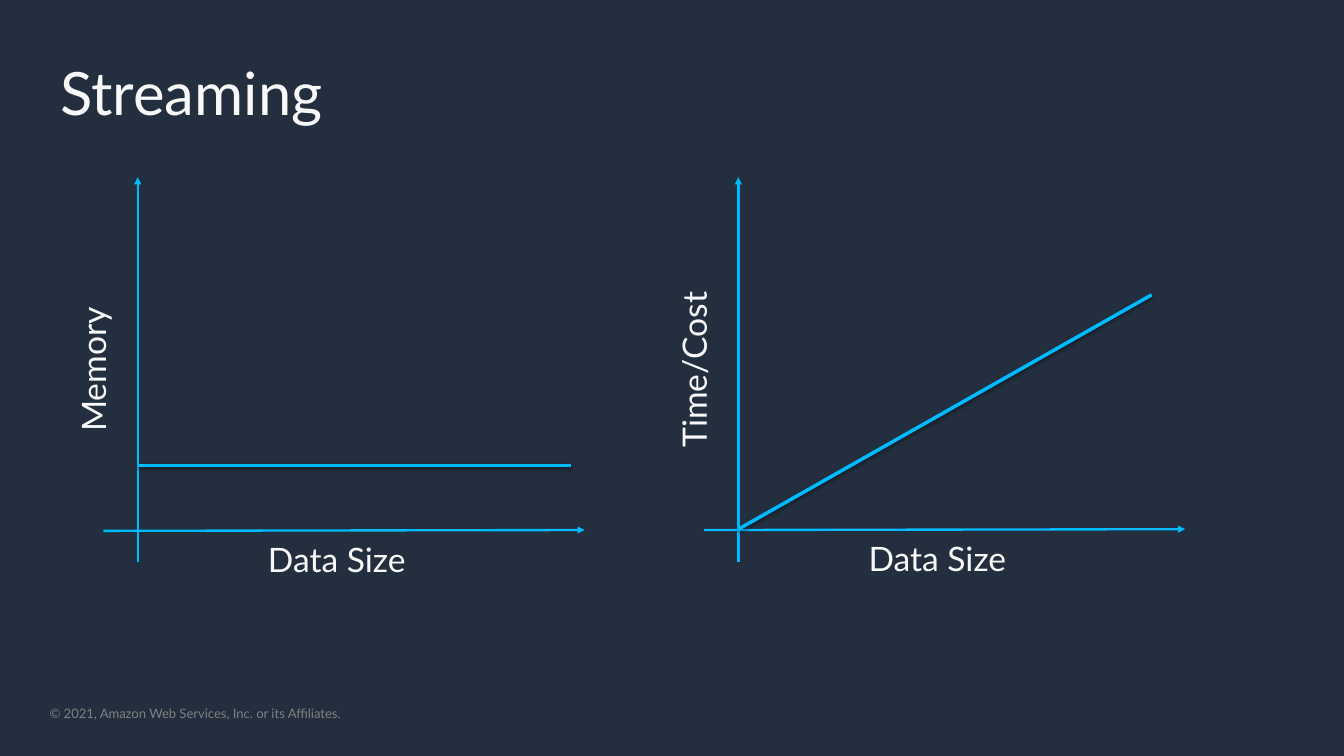
from lxml import etree
from pptx import Presentation
from pptx.dml.color import RGBColor
from pptx.enum.shapes import MSO_CONNECTOR
from pptx.enum.text import MSO_ANCHOR, PP_ALIGN
from pptx.oxml.ns import qn
from pptx.util import Inches, Pt

FONT = "Lato"
BACKGROUND, WHITE, GREY, BLUE = "232F3E", "F8F8F8", "808080", "00BAFF"
TITLE = "Streaming"
COPYRIGHT = "© 2021, Amazon Web Services, Inc. or its Affiliates."

# Curves run from the vertical axis: (start height, end height, length), in inches
GRAPHS = [
    {"y_label": "Memory", "y_label_length": 1.71, "origin": (1.64, 6.31),
     "curve": (0.77, 0.77, 5.16)},
    {"y_label": "Time/Cost", "y_label_length": 2.11, "origin": (8.79, 6.3),
     "curve": (0, 2.79, 4.92)},
]
X_LABEL, X_LABEL_LENGTH = "Data Size", 1.9
LABEL_HEIGHT = 0.59
OVERHANG = 0.41
X_AXIS_REACH = 5.32
Y_AXIS_TOP, Y_AXIS_BOTTOM = 2.11, 6.69


def rgb(color):
    return RGBColor.from_string(color)


def write(shape, words, size, color, align, inset=(0.1, 0.05)):
    frame = shape.text_frame
    frame.text = words
    frame.vertical_anchor = MSO_ANCHOR.TOP
    frame.margin_left = frame.margin_right = Inches(inset[0])
    frame.margin_top = frame.margin_bottom = Inches(inset[1])
    paragraph = frame.paragraphs[0]
    paragraph.alignment = align
    font = paragraph.runs[0].font
    font.name, font.size, font.color.rgb = FONT, Pt(size), rgb(color)
    return frame


def place_label(words, center_x, center_y, length, rotation=0):
    label = slide.shapes.add_textbox(
        Inches(center_x - length / 2), Inches(center_y - LABEL_HEIGHT / 2),
        Inches(length), Inches(LABEL_HEIGHT))
    label.rotation = rotation
    write(label, words, 28.8, WHITE, PP_ALIGN.CENTER).word_wrap = False


def draw_line(start, end, width):
    line = slide.shapes.add_connector(
        MSO_CONNECTOR.STRAIGHT, *(Inches(v) for v in (*start, *end)))
    line.line.color.rgb = rgb(BLUE)
    line.line.width = Pt(width)
    effects = etree.SubElement(line._element.spPr, qn("a:effectLst"))
    return line, effects


def draw_axis(start, end):
    axis, _ = draw_line(start, end, 2)
    etree.SubElement(axis.line._get_or_add_ln(), qn("a:tailEnd"), type="triangle")


def draw_curve(start, end):
    _, effects = draw_line(start, end, 3)
    shadow = etree.SubElement(
        effects, qn("a:outerShdw"), blurRad=str(Pt(3.1)), dist=str(Pt(1.6)),
        dir="5400000", rotWithShape="0")
    black = etree.SubElement(shadow, qn("a:srgbClr"), val="000000")
    etree.SubElement(black, qn("a:alpha"), val="38000")


def draw_graph(y_label, y_label_length, origin, curve):
    x, y = origin
    start_height, end_height, length = curve
    draw_axis((x - OVERHANG, y + 0.01), (x + X_AXIS_REACH, y))
    draw_axis((x, Y_AXIS_BOTTOM), (x, Y_AXIS_TOP))
    place_label(X_LABEL, x + 2.37, y + 0.35, X_LABEL_LENGTH)
    place_label(y_label, x - 0.53, (Y_AXIS_TOP + Y_AXIS_BOTTOM) / 2,
                y_label_length, 270)
    draw_curve((x, y - start_height), (x + length, y - end_height))


presentation = Presentation()
presentation.slide_width, presentation.slide_height = Inches(16), Inches(9)
slide = presentation.slides.add_slide(presentation.slide_layouts[5])
slide.background.fill.solid()
slide.background.fill.fore_color.rgb = rgb(BACKGROUND)

title = slide.shapes.title
title.left, title.top = Inches(0.62), Inches(0.61)
title.width, title.height = Inches(14.78), Inches(0.82)
write(title, TITLE, 51.2, WHITE, PP_ALIGN.LEFT)

footer = slide.shapes.add_textbox(Inches(0.59), Inches(8.4), Inches(7.78), Inches(0.19))
write(footer, COPYRIGHT, 11.2, GREY, PP_ALIGN.LEFT, inset=(0, 0)).word_wrap = True

for graph in GRAPHS:
    draw_graph(**graph)

presentation.save("out.pptx")
